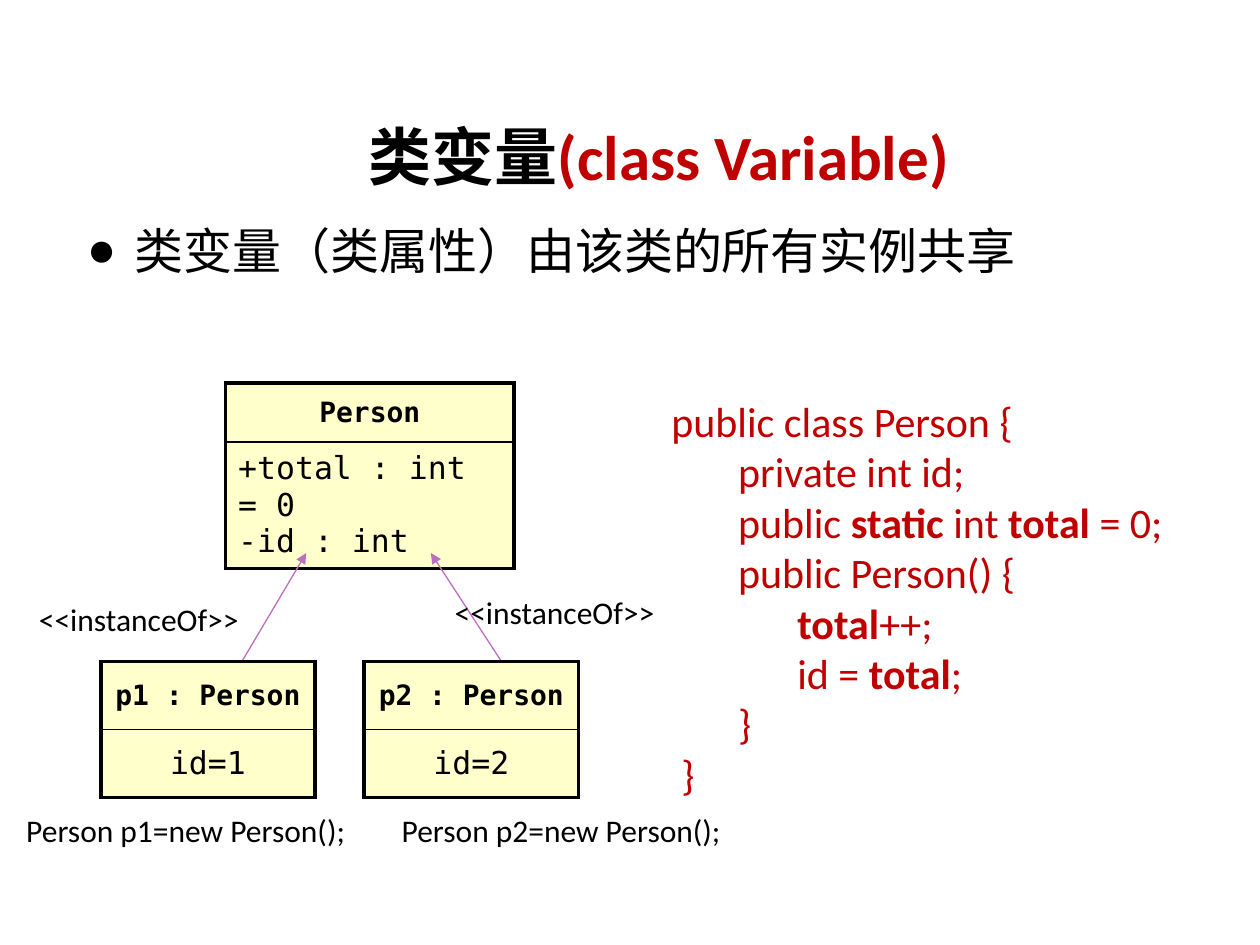
from lxml import etree
from pptx import Presentation
from pptx.dml.color import RGBColor
from pptx.enum.shapes import MSO_CONNECTOR
from pptx.enum.text import MSO_ANCHOR, MSO_AUTO_SIZE, PP_ALIGN
from pptx.oxml.ns import qn
from pptx.util import Inches, Pt

CENTER, LEFT = PP_ALIGN.CENTER, PP_ALIGN.LEFT
MIDDLE, TOP = MSO_ANCHOR.MIDDLE, MSO_ANCHOR.TOP
STRAIGHT = MSO_CONNECTOR.STRAIGHT
NO_FIT = MSO_AUTO_SIZE.NONE

COLORS = {"text": "000000", "accent": "C00000", "cell": "FFFFCC", "arrow": "BD6FBF"}
SANS, MONO = "Calibri", "DejaVu Sans Mono"


def rgb(name):
    return RGBColor.from_string(COLORS[name])


def write(para, text, size=18, font=SANS, color="text", bold=False, align=LEFT):
    """Add one formatted span to a paragraph."""
    para.alignment = align
    span = para.add_run()
    span.text = text
    span.font.size = Pt(size)
    span.font.name = font
    span.font.bold = bold
    span.font.color.rgb = rgb(color)


def place(shape, box):
    shape.left, shape.top, shape.width, shape.height = map(Inches, box)


def set_indent(para, left, first=0):
    props = para._p.get_or_add_pPr()
    props.set("marL", str(Inches(left)))
    props.set("indent", str(Inches(first)))
    return props


def add_title(page, box):
    title = page.shapes.title
    place(title, box)
    frame = title.text_frame
    frame.auto_size = NO_FIT
    frame.vertical_anchor = MIDDLE
    para = frame.paragraphs[0]
    write(para, "类变量", size=36, bold=True, align=CENTER)
    write(para, "(class Variable)", size=36, bold=True, color="accent", align=CENTER)


def add_summary(page, box):
    body = page.placeholders[1]
    place(body, box)
    frame = body.text_frame
    frame.auto_size = NO_FIT
    frame.vertical_anchor = TOP
    para = frame.paragraphs[0]
    para.space_before = Pt(0)
    write(para, "类变量（类属性）由该类的所有实例共享", size=28)
    props = set_indent(para, 0.38, -0.38)
    etree.SubElement(props, qn("a:buChar")).set("char", "●")


def add_text_frame(page, box):
    frame = page.shapes.add_textbox(*map(Inches, box)).text_frame
    frame.word_wrap = True
    return frame


def add_code(page, box):
    """Each line is an indent in inches and its (text, bold) spans."""
    lines = [
        (0, [("public class Person {", False)]),
        (0.53, [("private int id;", False)]),
        (0.53, [("public ", False), ("static ", True), ("int ", False),
                ("total ", True), ("= 0;", False)]),
        (0.53, [("public Person() {", False)]),
        (1, [("total", True), ("++;", False)]),
        (1, [("id = ", False), ("total", True), (";", False)]),
        (0.53, [("}", False)]),
        (0.08, [("}", False)]),
    ]
    frame = add_text_frame(page, box)
    for index, (indent, spans) in enumerate(lines):
        para = frame.add_paragraph() if index else frame.paragraphs[0]
        set_indent(para, indent)
        for text, bold in spans:
            write(para, text, size=24, color="accent", bold=bold)


def add_label(page, box, text):
    write(add_text_frame(page, box).paragraphs[0], text)


def set_borders(cell, **widths):
    props = cell._tc.get_or_add_tcPr()
    for side in ("L", "R", "T", "B"):
        line = etree.SubElement(props, qn(f"a:ln{side}"), w=str(Pt(widths.get(side, 2.25))))
        fill = etree.SubElement(line, qn("a:solidFill"))
        etree.SubElement(fill, qn("a:srgbClr"), val=COLORS["text"])


def add_uml_box(page, box, heights, name, members, align=CENTER):
    """A name row above a row of members."""
    table = page.shapes.add_table(2, 1, *map(Inches, box)).table
    for row, height in zip(table.rows, heights):
        row.height = Inches(height)
    head, detail = table.cell(0, 0), table.cell(1, 0)
    set_borders(head, B=1)
    set_borders(detail, T=1)
    for cell in (head, detail):
        cell.fill.solid()
        cell.fill.fore_color.rgb = rgb("cell")
        cell.vertical_anchor = MIDDLE
    write(head.text_frame.paragraphs[0], name, size=16, font=MONO, bold=True, align=CENTER)
    frame = detail.text_frame
    for index, member in enumerate(members):
        para = frame.add_paragraph() if index else frame.paragraphs[0]
        write(para, member, font=MONO, align=align)


def add_arrow(page, start, end):
    arrow = page.shapes.add_connector(STRAIGHT, *map(Inches, start + end))
    arrow.line.color.rgb = rgb("arrow")
    arrow.line.width = Pt(0.75)
    etree.SubElement(arrow.line._get_or_add_ln(), qn("a:tailEnd"), type="triangle")
    etree.SubElement(arrow._element.spPr, qn("a:effectLst"))


def add_diagram(page, box):
    """Class on top, its two instances below."""
    left, top, width, height = box
    object_width, object_height = 1.7, 1.08
    object_top = top + height - object_height
    add_uml_box(page, (left + 0.99, top, 2.29, 1.41), (0.47, 0.94),
                "Person", ["+total : int = 0", "-id : int"], align=LEFT)
    # Arrows start behind the instances and end on the class
    add_arrow(page, (left + 0.96, object_top + 0.27), (left + 1.63, top + 1.35))
    add_arrow(page, (left + 3.18, object_top), (left + 2.62, top + 1.35))
    for number, object_left in enumerate((left, left + width - object_width), start=1):
        add_uml_box(page, (object_left, object_top, object_width, object_height),
                    (object_height / 2,) * 2, f"p{number} : Person", [f"id={number}"])
    # Labels beside the arrows and under the instances
    add_label(page, (left + 2.71, top + 1.62, 2.04, 0.4), "<<instanceOf>>")
    add_label(page, (left - 0.59, top + 1.67, 2.12, 0.4), "<<instanceOf>>")
    call_top = top + height + 0.06
    add_label(page, (left - 0.69, call_top, 3.31, 0.4), "Person p1=new Person();")
    add_label(page, (left + 2.29, call_top, 4.07, 0.4), "Person p2=new Person();")


def main():
    deck = Presentation()
    deck.slide_width, deck.slide_height = Inches(10), Inches(7.5)
    page = deck.slides.add_slide(deck.slide_layouts[1])
    add_title(page, (2.24, 0.79, 5.98, 0.88))
    add_summary(page, (0.59, 1.7, 7.87, 0.57))
    add_code(page, (5.23, 3.09, 4.5, 3.33))
    add_diagram(page, (0.8, 3.04, 3.79, 3.29))
    deck.save("out.pptx")


if __name__ == "__main__":
    main()
